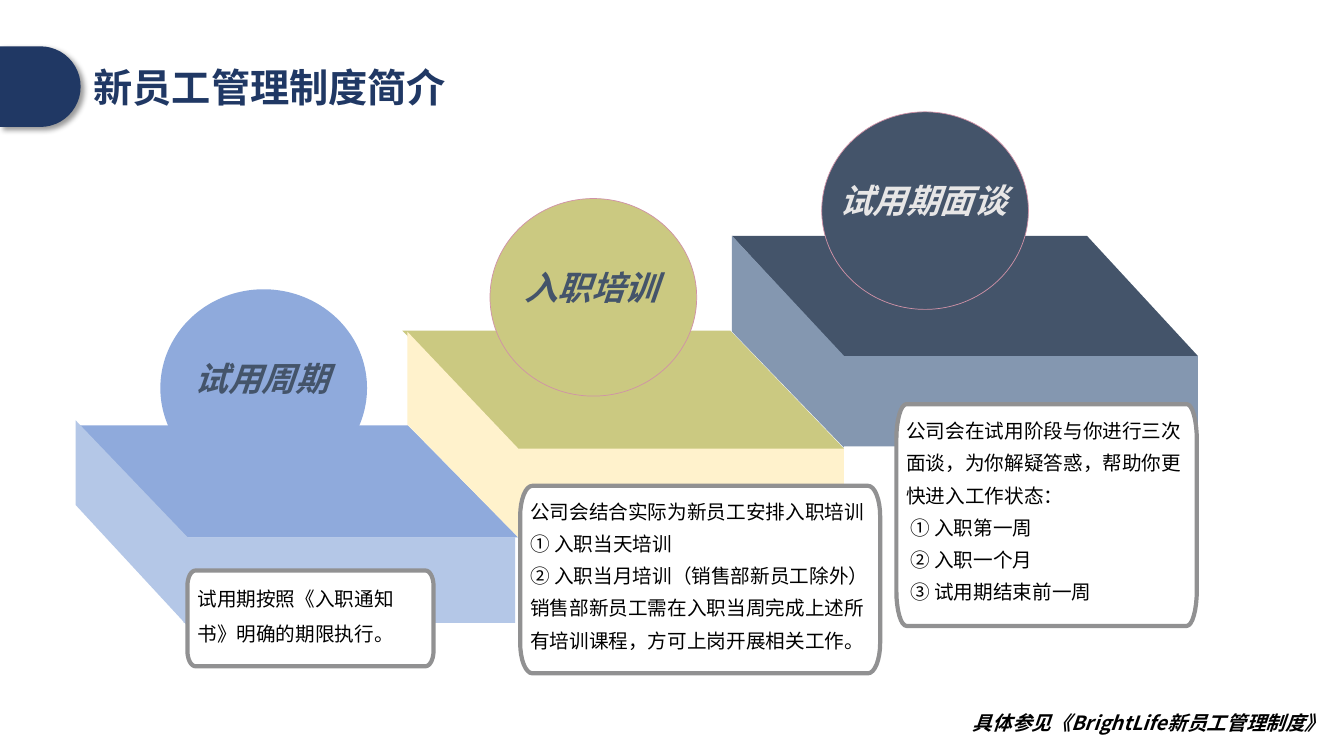
import math
from dataclasses import dataclass

import pptx
import pptx.dml.color
import pptx.enum.shapes
import pptx.enum.text
import pptx.oxml
import pptx.oxml.ns
import pptx.util
from pptx.util import Inches

SHAPE = pptx.enum.shapes.MSO_SHAPE
ALIGN = pptx.enum.text.PP_ALIGN
ANCHOR = pptx.enum.text.MSO_ANCHOR


@dataclass(frozen=True)
class Theme:
    navy: str = "203864"
    slate: str = "44546A"
    slate_light: str = "8497B0"
    olive: str = "CBC981"
    cream: str = "FFF2CC"
    blue: str = "8FAADC"
    blue_light: str = "B4C7E7"
    pale: str = "E7E6E6"
    pink: str = "D092A7"
    grey: str = "919192"
    white: str = "FFFFFF"
    black: str = "000000"
    body_font: str = "Noto Sans CJK SC"
    label_font: str = "Times New Roman"
    title_size: int = 28
    label_size: int = 24
    body_size: int = 14


THEME = Theme()


@dataclass(frozen=True)
class Step:
    """Boxes are (left, top, width, height); side edges are (x, top, bottom)."""
    front: tuple
    top: tuple
    slant: float
    back_edge: tuple
    near_edge: tuple
    face_color: str
    top_color: str
    circle: tuple
    label: str
    label_color: str
    outline: str = None


STEPS = [
    Step((1.82, 5.33, 3.29, 0.85), (0.76, 4.22, 4.38, 1.11), 0.986,
         (0.75, 4.17, 5.01), (1.86, 5.33, 6.21), THEME.blue_light, THEME.blue,
         (1.59, 2.87), "试用周期", THEME.slate),
    Step((5.11, 4.44, 3.26, 0.78), (3.99, 3.28, 4.38, 1.17), 0.963,
         (4.04, 3.29, 4.21), (5.14, 4.45, 5.33), THEME.cream, THEME.olive,
         (4.86, 1.97), "入职培训", THEME.slate, THEME.pink),
    Step((8.37, 3.53, 3.51, 0.9), (7.26, 2.34, 4.62, 1.19), 0.923,
         (7.26, 2.34, 3.29), (8.37, 3.53, 4.44), THEME.slate_light, THEME.slate,
         (8.15, 1.11), "试用期面谈", THEME.pale, THEME.pink),
]

# box, corner radii, line spacing, (text, indent) per paragraph
CARDS = [
    ((1.86, 5.66, 2.44, 0.95), (0.08, 0.15), 1.5,
     [("试用期按照《入职通知书》明确的期限执行。", 0)]),
    ((5.16, 4.82, 3.57, 1.86), (0.12, 0.3), pptx.util.Pt(23),
     [("公司会结合实际为新员工安排入职培训", 0),
      ("① 入职当天培训", 0),
      ("② 入职当月培训（销售部新员工除外）", 0),
      ("销售部新员工需在入职当周完成上述所有培训课程，方可上岗开展相关工作。", 0)]),
    ((8.89, 4.01, 2.98, 2.2), (0.1, 0.35), pptx.util.Pt(23),
     [("公司会在试用阶段与你进行三次面谈，为你解疑答惑，帮助你更快进入工作状态：", 0),
      ("① 入职第一周", 0.04),
      ("② 入职一个月", 0.04),
      ("③ 试用期结束前一周", 0.04)]),
]


def rgb(color):
    return pptx.dml.color.RGBColor.from_string(color)


def paint(shape, fill, line=None, width=0.5):
    shape.shadow.inherit = False
    shape.fill.solid()
    shape.fill.fore_color.rgb = rgb(fill)
    if line:
        shape.line.color.rgb = rgb(line)
        shape.line.width = pptx.util.Pt(width)
    else:
        shape.line.fill.background()
    return shape


def add_preset(shapes, kind, box, fill, line=None):
    return paint(shapes.add_shape(kind, *map(Inches, box)), fill, line)


def add_outline(shapes, points, fill, line=None, width=0.5):
    corners = [(Inches(x), Inches(y)) for x, y in points]
    builder = shapes.build_freeform(*corners[0], scale=1.0)
    builder.add_line_segments(corners[1:], close=True)
    return paint(builder.convert_to_shape(), fill, line, width)


def add_run(paragraph, text, size, color, font=THEME.body_font, bold=False, italic=False):
    run = paragraph.add_run()
    run.text = text
    run.font.size = pptx.util.Pt(size)
    run.font.color.rgb = rgb(color)
    run.font.bold, run.font.italic = bold, italic
    run.font.name = font
    east_asian = pptx.oxml.parse_xml(
        f'<a:ea {pptx.oxml.ns.nsdecls("a")} typeface="{THEME.body_font}"/>')
    run.font._element.find(pptx.oxml.ns.qn("a:latin")).addnext(east_asian)


def add_line_of_text(shapes, box, text, size, color, align=ALIGN.LEFT, **style):
    frame = shapes.add_textbox(*map(Inches, box)).text_frame
    frame.word_wrap = True
    if align == ALIGN.LEFT:
        frame.margin_right = 0
    frame.paragraphs[0].alignment = align
    add_run(frame.paragraphs[0], text, size, color, bold=True, **style)


def add_heading(shapes, box):
    left, top, width, height = box
    tab = add_preset(shapes, SHAPE.FLOWCHART_DELAY, (left, top, height, height), THEME.navy)
    tab._element.spPr.find(pptx.oxml.ns.qn("a:effectLst")).append(pptx.oxml.parse_xml(
        f'<a:outerShdw {pptx.oxml.ns.nsdecls("a")} blurRad="50800" dist="38100" '
        'dir="2700000" algn="tl" rotWithShape="0"><a:srgbClr val="000000">'
        '<a:alpha val="40000"/></a:srgbClr></a:outerShdw>'))
    title_left = left + height + 0.03
    add_line_of_text(shapes, (title_left, top + 0.12, width - title_left, 0.57),
                     "新员工管理制度简介", THEME.title_size, THEME.navy)


def add_block(shapes, step):
    add_preset(shapes, SHAPE.RECTANGLE, step.front, step.face_color)
    top = add_preset(shapes, SHAPE.PARALLELOGRAM, step.top, step.top_color)
    top.adjustments[0] = step.slant
    top._element.spPr.xfrm.set("flipH", "1")
    (back, back_top, back_bottom), (near, near_top, near_bottom) = step.back_edge, step.near_edge
    add_outline(shapes, [(back, back_top), (near, near_top), (near, near_bottom),
                         (back, back_bottom)], step.face_color)


def add_badge(shapes, step):
    badge = shapes.add_group_shape().shapes
    left, top = step.circle
    add_preset(badge, SHAPE.OVAL, (left, top, 2.05, 1.96), step.top_color, step.outline)
    add_line_of_text(badge, (left + 0.01, top + 0.63, 1.99, 0.5), step.label,
                     THEME.label_size, step.label_color, ALIGN.CENTER,
                     font=THEME.label_font, italic=True)


def rounded_points(box, radii, pieces=8):
    """Outline of a box whose corners are quarter ellipses."""
    left, top, width, height = box
    rx, ry = radii
    centres = [(left + width - rx, top + height - ry), (left + rx, top + height - ry),
               (left + rx, top + ry), (left + width - rx, top + ry)]
    for quarter, (cx, cy) in enumerate(centres):
        for piece in range(pieces + 1):
            angle = (quarter + piece / pieces) * math.pi / 2
            yield cx + rx * math.cos(angle), cy + ry * math.sin(angle)


def add_card(shapes, box, radii, spacing, lines):
    card = add_outline(shapes, rounded_points(box, radii), THEME.white, THEME.grey, 3)
    frame = card.text_frame
    frame.word_wrap = True
    frame.vertical_anchor = ANCHOR.MIDDLE
    frame.margin_top, frame.margin_bottom = Inches(0.03), Inches(0.19)
    for index, (text, indent) in enumerate(lines):
        paragraph = frame.add_paragraph() if index else frame.paragraphs[0]
        paragraph.alignment = ALIGN.LEFT
        paragraph.line_spacing = spacing
        if indent:
            paragraph._p.get_or_add_pPr().set("marL", str(Inches(indent)))
        add_run(paragraph, text, THEME.body_size, THEME.black)


def main():
    deck = pptx.Presentation()
    deck.slide_width, deck.slide_height = Inches(13.33), Inches(7.5)
    shapes = deck.slides.add_slide(deck.slide_layouts[6]).shapes
    add_heading(shapes, (0, 0.46, 4.57, 0.8))
    for step in STEPS:
        add_block(shapes, step)
    for step in STEPS:
        add_badge(shapes, step)
    for card in CARDS:
        add_card(shapes, *card)
    add_line_of_text(shapes, (9.55, 7, 3.78, 0.34), "具体参见《BrightLife新员工管理制度》",
                     THEME.body_size, THEME.black, italic=True)
    deck.save("out.pptx")


if __name__ == "__main__":
    main()
